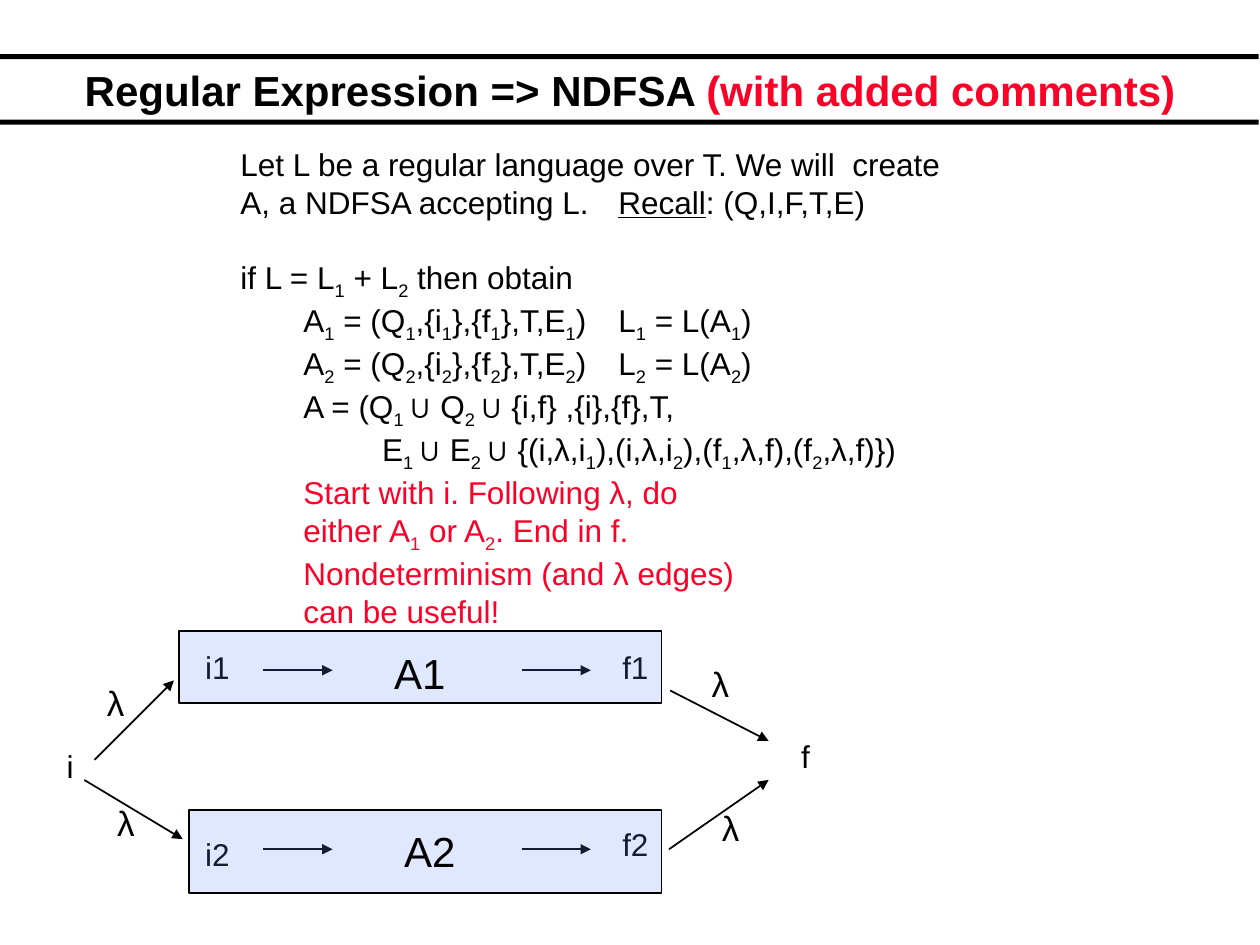
from dataclasses import dataclass

from lxml import etree
from pptx import Presentation
from pptx.dml.color import RGBColor
from pptx.enum.shapes import MSO_CONNECTOR, MSO_SHAPE
from pptx.enum.text import MSO_ANCHOR, MSO_AUTO_SIZE, PP_ALIGN
from pptx.oxml.ns import qn
from pptx.util import Pt

BLACK = RGBColor(0x00, 0x00, 0x00)
RED = RGBColor(0xFC, 0x01, 0x28)
BLUE = RGBColor(0x61, 0x8F, 0xFD)
FONT = "Arial"
RECTANGLE = MSO_SHAPE.RECTANGLE
STRAIGHT = MSO_CONNECTOR.STRAIGHT
CENTER = PP_ALIGN.CENTER
MIDDLE = MSO_ANCHOR.MIDDLE
NO_FIT = MSO_AUTO_SIZE.NONE
FIT_SHAPE = MSO_AUTO_SIZE.SHAPE_TO_FIT_TEXT


@dataclass(frozen=True)
class Span:
    text: str
    color: RGBColor = BLACK
    size: float = 18
    bold: bool = False
    underline: bool = False
    subscript: bool = False


@dataclass(frozen=True)
class Line:
    spans: list[Span]
    indent: float = 0
    tabs: tuple[float, ...] = ()
    before: float = 0


@dataclass(frozen=True)
class Label:
    text: str
    left: float
    top: float
    width: float
    size: float = 18


@dataclass(frozen=True)
class Arrow:
    x1: float
    y1: float
    x2: float
    y2: float


@dataclass(frozen=True)
class Block:
    left: float
    top: float
    width: float
    height: float
    color: RGBColor = BLACK
    opacity: int = 100


def marked(text: str, color: RGBColor = BLACK) -> list[Span]:
    return [Span(piece, color, subscript=index % 2 == 1)
            for index, piece in enumerate(text.split("_"))]


def automaton(number: int) -> Line:
    text = "\tA_#_ = (Q_#_,{i_#_},{f_#_},T,E_#_)\tL_#_ = L(A_#_)"
    return Line(marked(text.replace("#", str(number))), tabs=(144, 330))


def add_span(para, span: Span) -> None:
    for index, text in enumerate(span.text.split("\n")):
        if index:
            para.add_line_break()
        if not text:
            continue
        run = para.add_run()
        run.text = text
        run.font.name = FONT
        run.font.size = Pt(span.size)
        run.font.bold = span.bold
        run.font.underline = span.underline
        run.font.color.rgb = span.color
        if span.subscript:
            run.font._element.set("baseline", "-25000")


def add_lines(box, lines: list[Line]) -> None:
    frame = box.text_frame
    for index, line in enumerate(lines):
        para = frame.add_paragraph() if index else frame.paragraphs[0]
        properties = para._p.get_or_add_pPr()
        properties.set("marL", str(Pt(line.indent)))
        properties.set("indent", "0")
        if line.tabs:
            stops = etree.SubElement(properties, qn("a:tabLst"))
            for stop in line.tabs:
                etree.SubElement(stops, qn("a:tab"), pos=str(Pt(stop)), algn="l")
        if line.before:
            para.space_before = Pt(line.before)
        for span in line.spans:
            add_span(para, span)


def add_label(page, label: Label) -> None:
    box = page.shapes.add_textbox(Pt(label.left), Pt(label.top),
                                  Pt(label.width), Pt(label.size * 1.6))
    box.text_frame.word_wrap = True
    add_lines(box, [Line([Span(label.text, size=label.size)])])


def add_arrow(page, arrow: Arrow) -> None:
    connector = page.shapes.add_connector(
        STRAIGHT, Pt(arrow.x1), Pt(arrow.y1), Pt(arrow.x2), Pt(arrow.y2))
    connector.line.color.rgb = BLACK
    connector.line.width = Pt(1)
    etree.SubElement(connector.line._get_or_add_ln(), qn("a:tailEnd"), type="triangle")
    etree.SubElement(connector._element.spPr, qn("a:effectLst"))


def add_block(page, block: Block) -> None:
    shape = page.shapes.add_shape(RECTANGLE, Pt(block.left), Pt(block.top),
                                  Pt(block.width), Pt(block.height))
    shape.shadow.inherit = False
    shape.fill.solid()
    shape.fill.fore_color.rgb = block.color
    if block.opacity == 100:
        shape.line.fill.background()
        return
    shape.line.color.rgb = BLACK
    shape.line.width = Pt(1)
    color = shape._element.spPr.find(qn("a:solidFill")).find(qn("a:srgbClr"))
    etree.SubElement(color, qn("a:alpha"), val=str(block.opacity * 1000))


def add_title(page) -> None:
    title = page.shapes.title
    title.left, title.top, title.width, title.height = Pt(0), Pt(32.4), Pt(720), Pt(37.4)
    title.text_frame.vertical_anchor = MIDDLE
    title.text_frame.auto_size = NO_FIT
    add_lines(title, [Line([Span("Regular Expression => NDFSA ", size=24, bold=True),
                            Span("(with added comments)", RED, 24, True)])])
    title.text_frame.paragraphs[0].alignment = CENTER


def add_explanation(page) -> None:
    box = page.shapes.add_textbox(Pt(130.3), Pt(79.2), Pt(423.4), Pt(283.7))
    box.text_frame.word_wrap = False
    box.text_frame.auto_size = FIT_SHAPE
    add_lines(box, [
        Line(marked("Let L be a regular language over T. We will  create")),
        Line([Span("A, a NDFSA accepting L.\t"), Span("Recall", underline=True),
              Span(": (Q,I,F,T,E)")], tabs=(221,)),
        Line(marked("if L = L_1_ + L_2_ then obtain"), before=21.7),
        automaton(1),
        automaton(2),
        Line(marked("A = (Q_1 _∪ Q_2 _∪ {i,f} ,{i},{f},T,"), indent=36),
        Line(marked("E_1 _∪ E_2 _∪ {(i,λ,i_1_),(i,λ,i_2_),(f_1_,λ,f),(f_2_,λ,f)})"), indent=81),
        Line(marked("Start with i. Following λ, do\neither A_1_ or A_2_. End in f.", RED), indent=36),
        Line(marked("Nondeterminism (and λ edges)\ncan be useful!", RED), indent=36),
    ])


BARS = [Block(0, top, 719.3, 2.9) for top in (31, 68.4)]
MACHINES = [Block(102.2, 360.7, 275.8, 41, BLUE, 20), Block(108, 463, 270, 47.5, BLUE, 20)]
STATES = [
    Label("i", 31, 423.4, 33.8),
    Label("i1", 110.2, 366.5, 33.8),
    Label("i2", 110.2, 473.8, 33.8),
    Label("f1", 348.5, 366.5, 39.6),
    Label("f2", 348.5, 468, 39.6),
    Label("f", 450.7, 417.6, 33.8),
]
LAMBDAS = [Label("λ", left, top, 22.3, 20) for left, top in
           ((54, 386), (59.8, 454.3), (399.6, 375.1), (405.4, 457.2))]
NAMES = [Label("A1", 218.2, 366.5, 45.4, 24), Label("A2", 223.9, 468, 62.6, 24)]
ARROWS = [
    Arrow(54, 434.2, 99.4, 388.8),
    Arrow(48.2, 445.7, 104.4, 479.5),
    Arrow(383, 394.6, 439.2, 423.4),
    Arrow(382.3, 485.3, 439.2, 445.7),
] + [Arrow(left, top, left + 39.6, top) for top in (383, 485.3) for left in (150.5, 298.1)]


def main() -> None:
    deck = Presentation()
    deck.slide_width, deck.slide_height = Pt(720), Pt(540)
    page = deck.slides.add_slide(deck.slide_layouts[5])
    for bar in BARS:
        add_block(page, bar)
    add_title(page)
    add_explanation(page)
    for label in STATES + LAMBDAS:
        add_label(page, label)
    for arrow in ARROWS:
        add_arrow(page, arrow)
    for machine in MACHINES:
        add_block(page, machine)
    for name in NAMES:
        add_label(page, name)
    deck.save("out.pptx")


if __name__ == "__main__":
    main()
